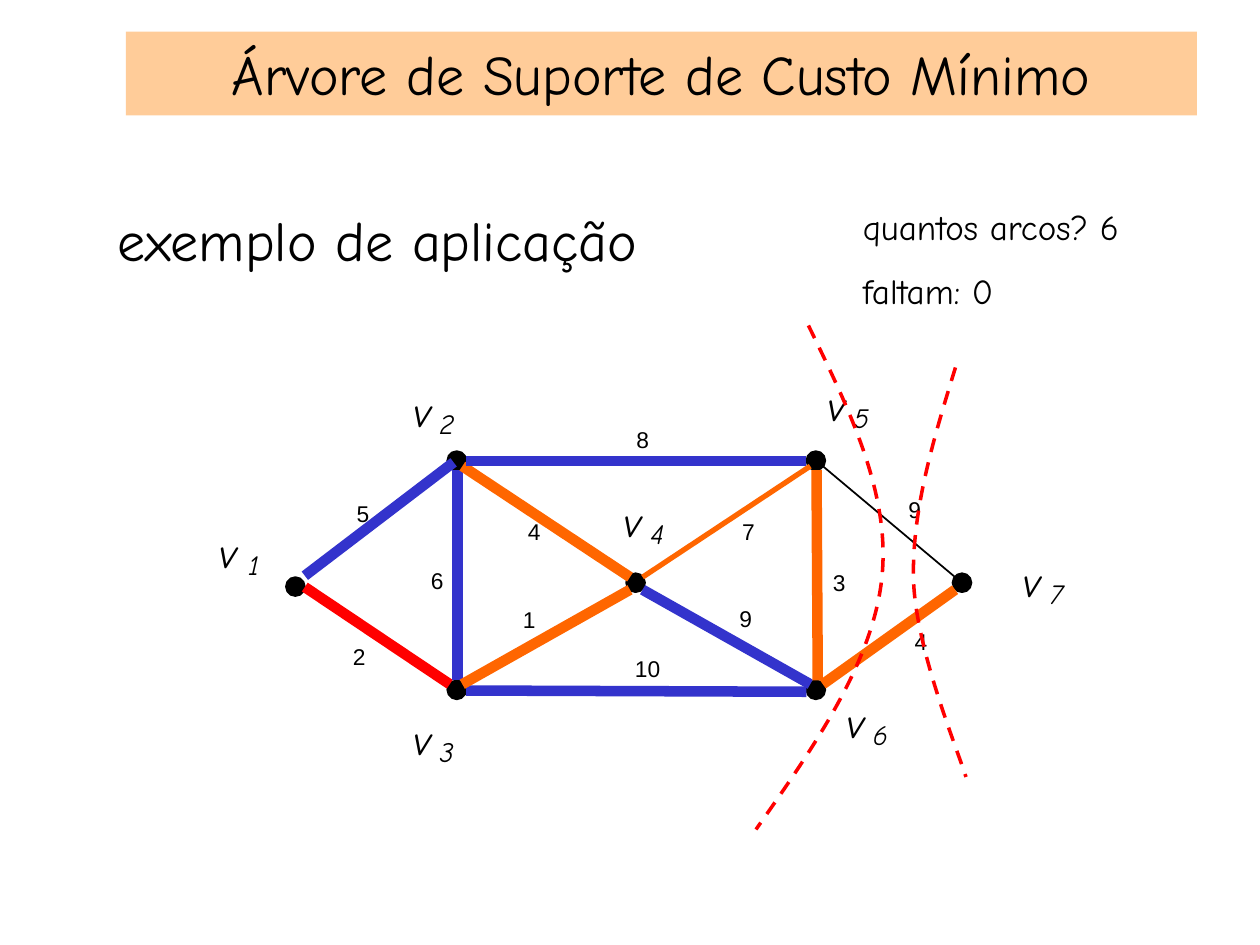
from dataclasses import dataclass

from lxml import etree
from pptx import Presentation
from pptx.dml.color import RGBColor
from pptx.enum.dml import MSO_LINE
from pptx.enum.shapes import MSO_CONNECTOR, MSO_SHAPE
from pptx.enum.text import MSO_ANCHOR, PP_ALIGN
from pptx.oxml.ns import qn
from pptx.util import Pt


@dataclass(frozen=True)
class Theme:
    ink: str = "000000"
    banner: str = "FFCC99"
    blue: str = "3333CC"
    orange: str = "FF6600"
    red: str = "FF0000"
    hand: str = "Comic Neue"
    plain: str = "Arial"
    heading: int = 32
    vertex: int = 24
    note: int = 20
    index: int = 16
    weight: int = 13


T = Theme()

# Content: all lengths in points
TITLE = "Árvore de Suporte de Custo Mínimo"
SUBTITLE = "exemplo de aplicação"
NOTES = ["quantos arcos? 6", "faltam: 0"]

# index: (node centre, label corner)
VERTICES = {
    "1": ((168.8, 335.2), (125.3, 301)),
    "2": ((261, 263.2), (236.2, 220.3)),
    "3": ((261, 394.2), (236.2, 407.5)),
    "4": ((363.2, 333), (356.4, 283)),
    "5": ((466.2, 263.2), (473, 216.7)),
    "6": ((466.2, 394.2), (483.8, 398.2)),
    "7": ((549.7, 333), (584.6, 317.5)),
}

# start, end, colour, line width, weight, weight corner
EDGES = [
    ((174.2, 335.5), (257, 391), T.red, 6, "2", (201.6, 367.2)),
    ((261.4, 388.8), (261.4, 268.6), T.blue, 6, "6", (246.2, 324)),
    ((264.2, 266.4), (360, 329.8), T.orange, 6, "4", (301.7, 295.9)),
    ((367.2, 329.8), (463, 266.4), T.orange, 3, "7", (424.1, 295.9)),
    ((266.4, 394.6), (460.8, 395.3), T.blue, 6, "10", (362.9, 374.4)),
    ((463, 391), (367.2, 337), T.blue, 6, "9", (422.6, 345.6)),
    ((174.2, 329), (259.2, 264.2), T.blue, 6, "5", (203.8, 285.8)),
    ((266.4, 263.5), (460.8, 263.5), T.blue, 6, "8", (363.6, 243.4)),
    ((264.2, 391), (360, 337), T.orange, 6, "1", (298.8, 346.3)),
    ((466.6, 268.6), (467.3, 388.8), T.orange, 6, "3", (475.9, 324.7)),
    ((470.2, 266.4), (545.8, 329.8), T.ink, 1, "9", (519.1, 283)),
    ((470.2, 391), (545.8, 337), T.orange, 6, "4", (522.7, 358.6)),
]

# Each cut: start, then control, control, end for every curve
CUTS = [
    [(462, 186), (485.3, 234), (509, 282), (504, 330),
     (499, 378), (465.8, 426), (432, 474)],
    [(546, 210), (533.5, 250.6), (521.3, 290.9), (522, 330),
     (522.7, 368.6), (545.8, 424.8), (552, 444)],
]

NODE = 10.8
INDEX_OFFSET = (15, 12)


def rgb(colour):
    return RGBColor.from_string(colour)


def write(frame, lines, size, font=T.hand, align=PP_ALIGN.LEFT, italic=False, gap=0):
    for i, line in enumerate(lines):
        paragraph = frame.add_paragraph() if i else frame.paragraphs[0]
        paragraph.alignment = align
        if i:
            paragraph.space_before = Pt(gap)
        run = paragraph.add_run()
        run.text = line
        run.font.size, run.font.name, run.font.italic = Pt(size), font, italic
        run.font.color.rgb = rgb(T.ink)


def add_text(slide, box, lines, size, **style):
    frame = slide.shapes.add_textbox(*map(Pt, box)).text_frame
    frame.word_wrap = True
    write(frame, lines, size, **style)


def add_label(slide, corner, extent, text, size, **style):
    frame = slide.shapes.add_textbox(*map(Pt, (*corner, *extent))).text_frame
    frame.margin_left = frame.margin_top = frame.margin_right = frame.margin_bottom = 0
    frame.word_wrap = False
    write(frame, [text], size, align=PP_ALIGN.RIGHT, **style)


def add_filled(slide, preset, box, colour):
    shape = slide.shapes.add_shape(preset, *map(Pt, box))
    shape.shadow.inherit = False
    shape.fill.solid()
    shape.fill.fore_color.rgb = rgb(colour)
    return shape


def add_edge(slide, start, end, colour, width):
    edge = slide.shapes.add_connector(MSO_CONNECTOR.STRAIGHT, *map(Pt, (*start, *end)))
    edge.line.color.rgb = rgb(colour)
    edge.line.width = Pt(width)
    etree.SubElement(edge._element.spPr, qn("a:effectLst"))


def add_cut(slide, points):
    scaled = [(Pt(x), Pt(y)) for x, y in points]
    builder = slide.shapes.build_freeform(*scaled[0])
    builder.add_line_segments(scaled[1:], close=False)
    cut = builder.convert_to_shape()
    cut.shadow.inherit = False
    cut.fill.background()
    cut.line.color.rgb = rgb(T.red)
    cut.line.width = Pt(2)
    cut.line.dash_style = MSO_LINE.DASH
    # Turn every three straight segments into one cubic curve
    segments = list(cut._element.iter(qn("a:lnTo")))
    for i in range(0, len(segments), 3):
        curve = etree.Element(qn("a:cubicBezTo"))
        segments[i].addprevious(curve)
        for segment in segments[i:i + 3]:
            curve.append(segment[0])
            segment.getparent().remove(segment)


def main():
    deck = Presentation()
    deck.slide_width, deck.slide_height = Pt(720), Pt(540)
    slide = deck.slides.add_slide(deck.slide_layouts[6])

    # Headings
    banner = add_filled(slide, MSO_SHAPE.RECTANGLE, (72, 18, 612, 48), T.banner)
    banner.line.fill.background()
    banner.text_frame.vertical_anchor = MSO_ANCHOR.MIDDLE
    write(banner.text_frame, [TITLE], T.heading, align=PP_ALIGN.CENTER)
    add_text(slide, (60, 114, 630, 390), [SUBTITLE], T.heading)

    # Graph: nodes below edges, labels on top
    for (x, y), _ in VERTICES.values():
        box = (x - NODE / 2, y - NODE / 2, NODE, NODE)
        node = add_filled(slide, MSO_SHAPE.OVAL, box, T.ink)
        node.line.color.rgb = rgb(T.ink)
        node.line.width = Pt(1)
    for start, end, colour, width, _, _ in EDGES:
        add_edge(slide, start, end, colour, width)
    for index, (_, (x, y)) in VERTICES.items():
        dx, dy = INDEX_OFFSET
        add_label(slide, (x, y), (10, 28.8), "v", T.vertex, italic=True)
        add_label(slide, (x + dx, y + dy), (8, 19.4), index, T.index, italic=True)
    for *_, weight, corner in EDGES:
        add_label(slide, corner, (7.2 * len(weight), 15.8), weight, T.weight, font=T.plain)

    # Arc count and cuts
    add_text(slide, (486, 114, 186, 67.7), NOTES, T.note, gap=12.5)
    for points in CUTS:
        add_cut(slide, points)

    deck.save("out.pptx")


if __name__ == "__main__":
    main()
